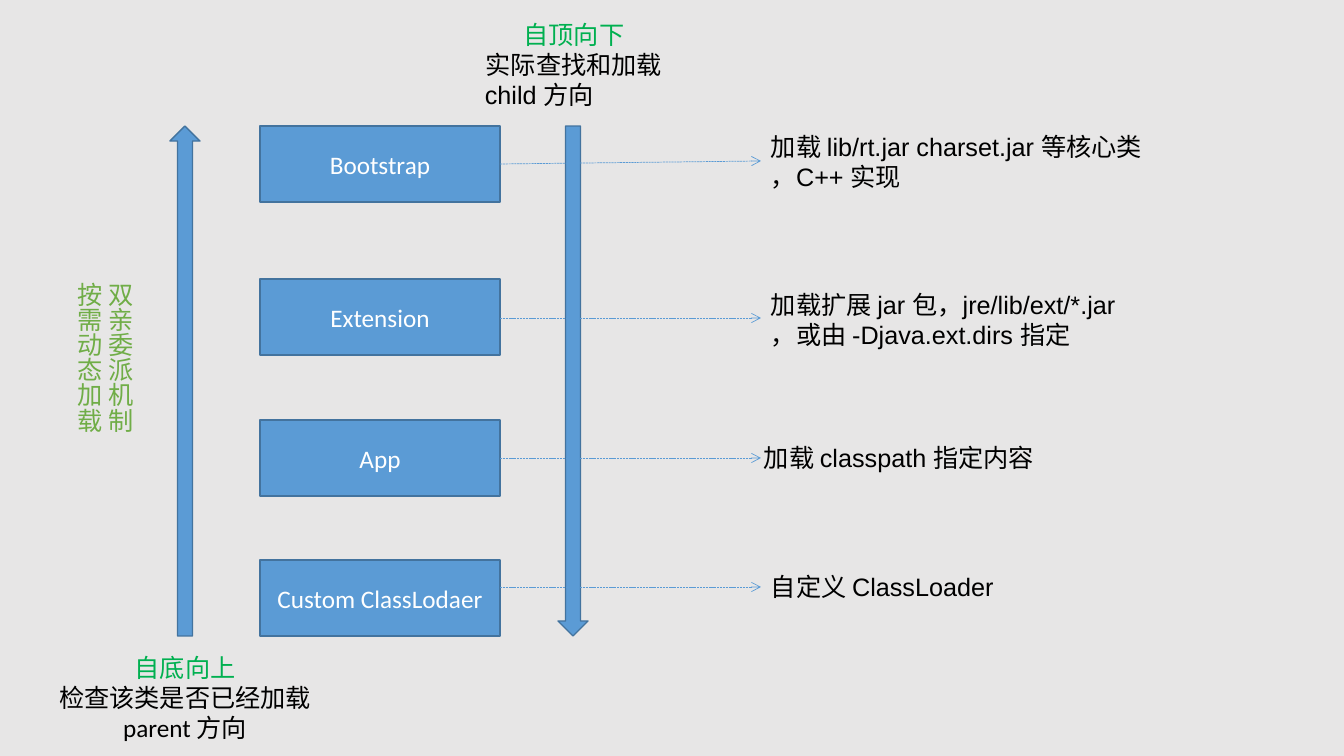
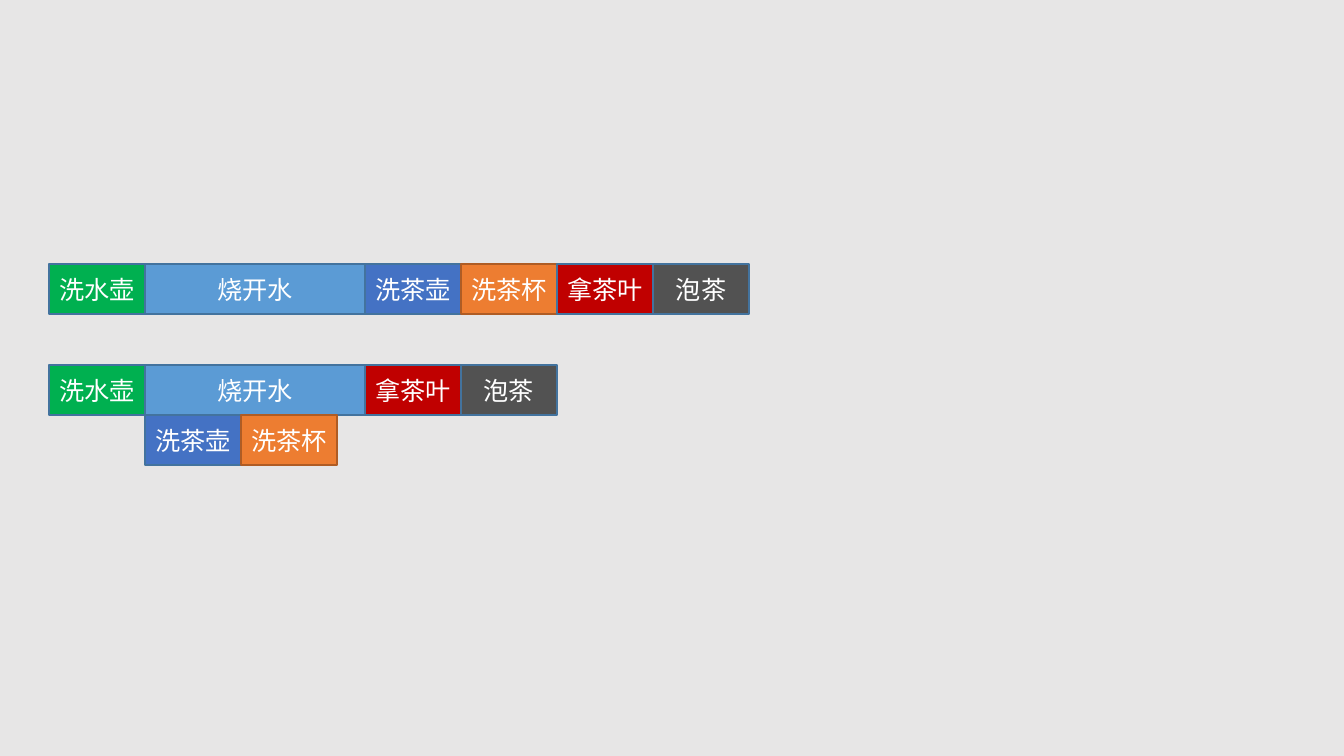
import pptx
import pptx.util
import pptx.dml.color
import pptx.enum.dml
import pptx.enum.shapes
import pptx.enum.text
import pptx.oxml
import pptx.oxml.ns

PX = 914400 / 100.8
SHAPES = pptx.enum.shapes.MSO_SHAPE
CENTER = pptx.enum.text.PP_ALIGN.CENTER
LEFT = pptx.enum.text.PP_ALIGN.LEFT
BACKGROUND, BLACK, WHITE = "E7E6E6", "000000", "FFFFFF"
BLUE, BLUE_EDGE, ORANGE_EDGE = "5B9BD5", "43739E", "AF5C24"
GREEN, LIGHT_GREEN = "00B050", "70AD47"


def px(*lengths):
    return [round(length * PX) for length in lengths]


def color(hex_value):
    return pptx.dml.color.RGBColor.from_string(hex_value)


def add_run(paragraph, text, font, hex_value):
    run = paragraph.add_run()
    run.text = text
    run.font.size = pptx.util.Pt(18)
    run.font.name = font
    run.font.color.rgb = color(hex_value)


def add_block(slide, preset, box, fill=BLUE, edge=BLUE_EDGE, label=None):
    """Outlined shape with an optional centred white label."""
    block = slide.shapes.add_shape(preset, *px(*box))
    block.shadow.inherit = False
    block.fill.solid()
    block.fill.fore_color.rgb = color(fill)
    block.line.color.rgb = color(edge)
    block.line.width = pptx.util.Pt(1)
    if label:
        frame = block.text_frame
        frame.margin_left = frame.margin_right = 0
        frame.vertical_anchor = pptx.enum.text.MSO_ANCHOR.MIDDLE
        frame.paragraphs[0].alignment = CENTER
        add_run(frame.paragraphs[0], label, "Calibri", WHITE)
    return block


def add_text(slide, box, paragraphs, font="Arial"):
    """Each paragraph is (alignment, [(line, colour), ...])."""
    text_box = slide.shapes.add_textbox(*px(*box))
    frame = text_box.text_frame
    frame.word_wrap = True
    for number, (alignment, lines) in enumerate(paragraphs):
        paragraph = frame.add_paragraph() if number else frame.paragraphs[0]
        paragraph.alignment = alignment
        for index, (line, hex_value) in enumerate(lines):
            if index:
                paragraph.add_line_break()
            add_run(paragraph, line, font, hex_value)
    return text_box


def add_pointer(slide, start, end):
    """Thin dashed connector with an open arrowhead."""
    pointer = slide.shapes.add_connector(
        pptx.enum.shapes.MSO_CONNECTOR.STRAIGHT, *px(*start, *end))
    pointer.line.color.rgb = color(BLUE)
    pointer.line.width = pptx.util.Pt(0.5)
    pointer.line.dash_style = pptx.enum.dml.MSO_LINE.SQUARE_DOT
    properties = pointer.element.spPr
    line = properties.find(pptx.oxml.ns.qn("a:ln"))
    namespace = pptx.oxml.ns.nsdecls("a")
    line.append(pptx.oxml.parse_xml(f'<a:tailEnd {namespace} type="arrow"/>'))
    properties.append(pptx.oxml.parse_xml(f"<a:effectLst {namespace}/>"))


# Loader hierarchy: name, top, pointer y at both ends, note box, note lines
LOADERS = [
    ("Bootstrap", 126, (164, 161), (761, 126, 413, 72),
     ["加载 lib/rt.jar charset.jar 等核心类", "，C++ 实现"]),
    ("Extension", 279, (318, 318), (761, 284, 393, 72),
     ["加载扩展 jar 包，jre/lib/ext/*.jar", "，或由 -Djava.ext.dirs 指定"]),
    ("App", 420, (458, 458), (754, 437, 297, 40),
     ["加载 classpath 指定内容"]),
    ("Custom ClassLodaer", 560, (587, 587), (761, 566, 247, 40),
     ["自定义 ClassLoader"]),
]


def add_directions(slide, left, top, height):
    """Upward and downward arrows with their captions."""
    down_left = left + 388
    add_block(slide, SHAPES.UP_ARROW, (left, top, 30, height))
    downward = add_block(slide, SHAPES.UP_ARROW, (down_left, top, 30, height))
    downward.rotation = 180
    add_text(slide, (down_left - 83, top - 112, 198, 102), [
        (CENTER, [("自顶向下", GREEN), ("实际查找和加载", BLACK)]),
        (LEFT, [("child 方向", BLACK)]),
    ])
    add_text(slide, (left - 123, top + height + 11, 276, 102), [
        (CENTER, [("自底向上", GREEN), ("检查该类是否已经加载", BLACK),
                  ("parent 方向", BLACK)]),
    ], "Calibri")


def add_loaders(slide, left, width, height, pointer_end):
    for name, top, (start_y, end_y), note_box, note in LOADERS:
        add_block(slide, SHAPES.RECTANGLE, (left, top, width, height), label=name)
        add_pointer(slide, (left + width, start_y), (pointer_end, end_y))
        add_text(slide, note_box, [(LEFT, [(line, BLACK)]) for line in note])


def add_mechanism(slide, box):
    """Vertical heading beside the upward arrow."""
    mechanism = add_text(slide, box, [
        (CENTER, [("双亲委派机制", LIGHT_GREEN)]),
        (CENTER, [("按需动态加载", LIGHT_GREEN)]),
    ], "Calibri")
    mechanism.element.txBody.bodyPr.set("vert", "eaVert")


def build_loader_slide(slide):
    add_directions(slide, 170, 126, 510)
    add_loaders(slide, 260, 240, 76, 761)
    add_mechanism(slide, (58, 272, 82, 212))


# Tea-making steps: label, width, fill, edge
WASH_KETTLE = ("洗水壶", 96, GREEN, BLUE_EDGE)
BOIL_WATER = ("烧开水", 220, BLUE, BLUE_EDGE)
WASH_POT = ("洗茶壶", 96, "4472C4", BLUE_EDGE)
WASH_CUPS = ("洗茶杯", 96, "ED7D31", ORANGE_EDGE)
FETCH_TEA = ("拿茶叶", 96, "C00000", BLUE_EDGE)
BREW_TEA = ("泡茶", 96, "525252", BLUE_EDGE)


def add_timeline(slide, left, top, height, steps):
    """Lay steps end to end from the left edge."""
    for label, width, fill, edge in steps:
        add_block(slide, SHAPES.RECTANGLE, (left, top, width, height),
                  fill, edge, label)
        left += width


def build_tea_slide(slide):
    left, top, height = 49, 264, 50
    overlapped_top = top + 2 * height + 1
    add_timeline(slide, left, top, height, [
        WASH_KETTLE, BOIL_WATER, WASH_POT, WASH_CUPS, FETCH_TEA, BREW_TEA])
    add_timeline(slide, left, overlapped_top, height, [
        WASH_KETTLE, BOIL_WATER, FETCH_TEA, BREW_TEA])
    # Washing happens while the water boils
    add_timeline(slide, left + WASH_KETTLE[1], overlapped_top + height, height,
                 [WASH_POT, WASH_CUPS])


presentation = pptx.Presentation()
presentation.slide_width, presentation.slide_height = px(1344, 756)
master_fill = presentation.slide_master.background.fill
master_fill.solid()
master_fill.fore_color.rgb = color(BACKGROUND)
blank_layout = presentation.slide_layouts[6]
for build in (build_loader_slide, build_tea_slide):
    build(presentation.slides.add_slide(blank_layout))
presentation.save("out.pptx")
